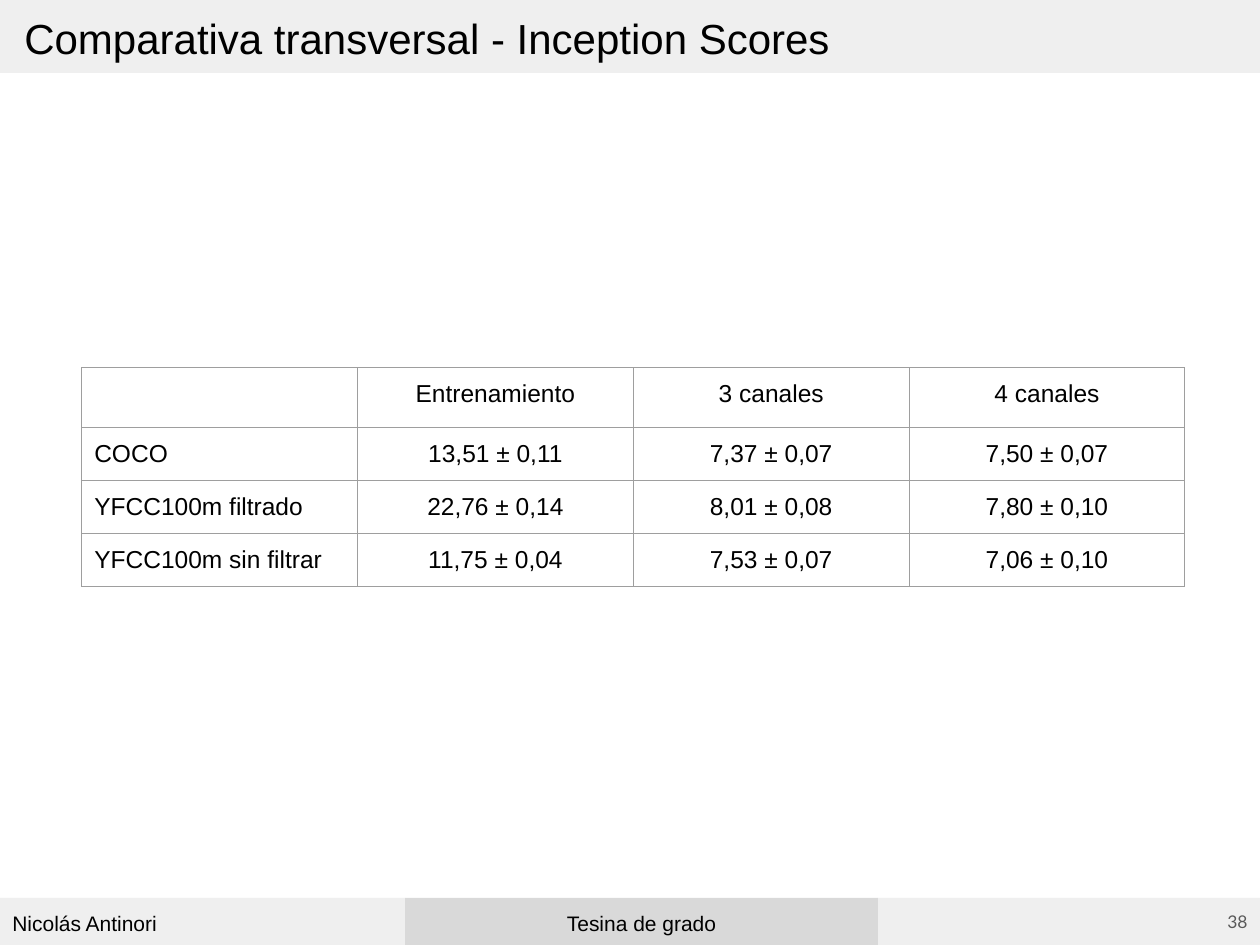
from pptx import Presentation
from pptx.dml.color import RGBColor
from pptx.enum.shapes import MSO_SHAPE
from pptx.enum.text import MSO_ANCHOR, PP_ALIGN
from pptx.oxml import parse_xml
from pptx.oxml.ns import nsdecls
from pptx.util import Cm, Pt

COLORS = {
    "text": "000000",
    "number": "595959",
    "band": "EFEFEF",
    "band_center": "D9D9D9",
    "border": "9E9E9E",
}
INSET = 0.25
SCORES = [
    ["", "Entrenamiento", "3 canales", "4 canales"],
    ["COCO", "13,51 ± 0,11", "7,37 ± 0,07", "7,50 ± 0,07"],
    ["YFCC100m filtrado", "22,76 ± 0,14", "8,01 ± 0,08", "7,80 ± 0,10"],
    ["YFCC100m sin filtrar", "11,75 ± 0,04", "7,53 ± 0,07", "7,06 ± 0,10"],
]


def style_paragraph(paragraph, size, align, color="text", font_name="Arial"):
    """Set the alignment and font of a paragraph."""
    paragraph.alignment = align
    paragraph.font.size = Pt(size)
    paragraph.font.name = font_name
    paragraph.font.color.rgb = RGBColor.from_string(COLORS[color])


def add_band(slide, box, fill, text, size, align=PP_ALIGN.LEFT, color="text",
             font_name="Arial", anchor=MSO_ANCHOR.TOP, left_inset=INSET):
    """Add a filled rectangle with one line of text."""
    shape = slide.shapes.add_shape(MSO_SHAPE.RECTANGLE, *map(Cm, box))
    shape.shadow.inherit = False
    shape.fill.solid()
    shape.fill.fore_color.rgb = RGBColor.from_string(COLORS[fill])
    shape.line.fill.background()
    frame = shape.text_frame
    frame.word_wrap = True
    frame.vertical_anchor = anchor
    frame.margin_left = Cm(left_inset)
    frame.margin_right = frame.margin_top = frame.margin_bottom = Cm(INSET)
    frame.text = text
    style_paragraph(frame.paragraphs[0], size, align, color, font_name)


def add_borders(cell):
    """Draw a thin line on every side of a table cell."""
    properties = cell._tc.get_or_add_tcPr()
    for side in ("lnL", "lnR", "lnT", "lnB"):
        properties.append(parse_xml(
            f'<a:{side} {nsdecls("a")} w="{Pt(0.75)}"><a:solidFill>'
            f'<a:srgbClr val="{COLORS["border"]}"/></a:solidFill></a:{side}>'))


def fill_cell(cell, text, align):
    """Write and format one table cell."""
    cell.margin_left = cell.margin_right = Cm(INSET)
    cell.margin_top = cell.margin_bottom = Cm(INSET)
    add_borders(cell)
    cell.fill.background()
    cell.text = text
    style_paragraph(cell.text_frame.paragraphs[0], 14, align)


def add_score_table(slide, left, top, column_width, row_heights):
    """Add the table of scores."""
    row_count, column_count = len(SCORES), len(SCORES[0])
    table = slide.shapes.add_table(
        row_count, column_count, Cm(left), Cm(top),
        Cm(column_width * column_count), Cm(sum(row_heights))).table
    table.first_row = table.horz_banding = False
    for column in table.columns:
        column.width = Cm(column_width)
    for row, height, texts in zip(table.rows, row_heights, SCORES):
        row.height = Cm(height)
        for index, (cell, text) in enumerate(zip(row.cells, texts)):
            fill_cell(cell, text, PP_ALIGN.CENTER if index else PP_ALIGN.LEFT)


def main():
    """Build the slide and save it."""
    presentation = Presentation()
    presentation.slide_width, presentation.slide_height = Cm(25.4), Cm(19.05)
    slide = presentation.slides.add_slide(presentation.slide_layouts[6])

    add_band(slide, (0, 0, 25.48, 1.47), "band",
             "Comparativa transversal - Inception Scores", 24, left_inset=0.49)
    footer_top, footer_height = 18.1, 0.95
    add_band(slide, (17.7, footer_top, 7.7, footer_height), "band", "38", 10,
             PP_ALIGN.RIGHT, "number", "Lato", MSO_ANCHOR.MIDDLE)
    add_band(slide, (0, footer_top, 8.17, footer_height), "band",
             "Nicolás Antinori", 12)
    add_band(slide, (8.17, footer_top, 9.53, footer_height), "band_center",
             "Tesina de grado", 12, PP_ALIGN.CENTER)
    add_score_table(slide, 1.65, 7.41, 5.56, [1.21, 1.07, 1.07, 1.07])

    presentation.save("out.pptx")


if __name__ == "__main__":
    main()
